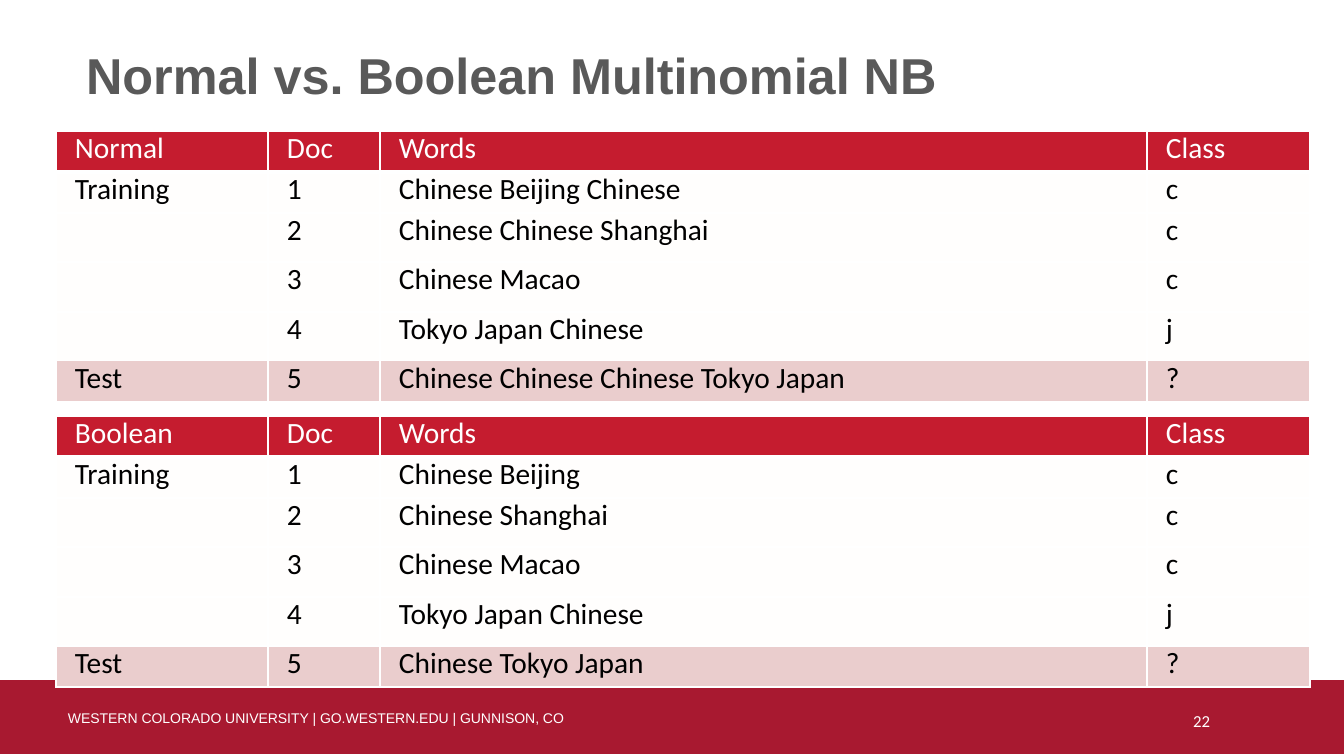
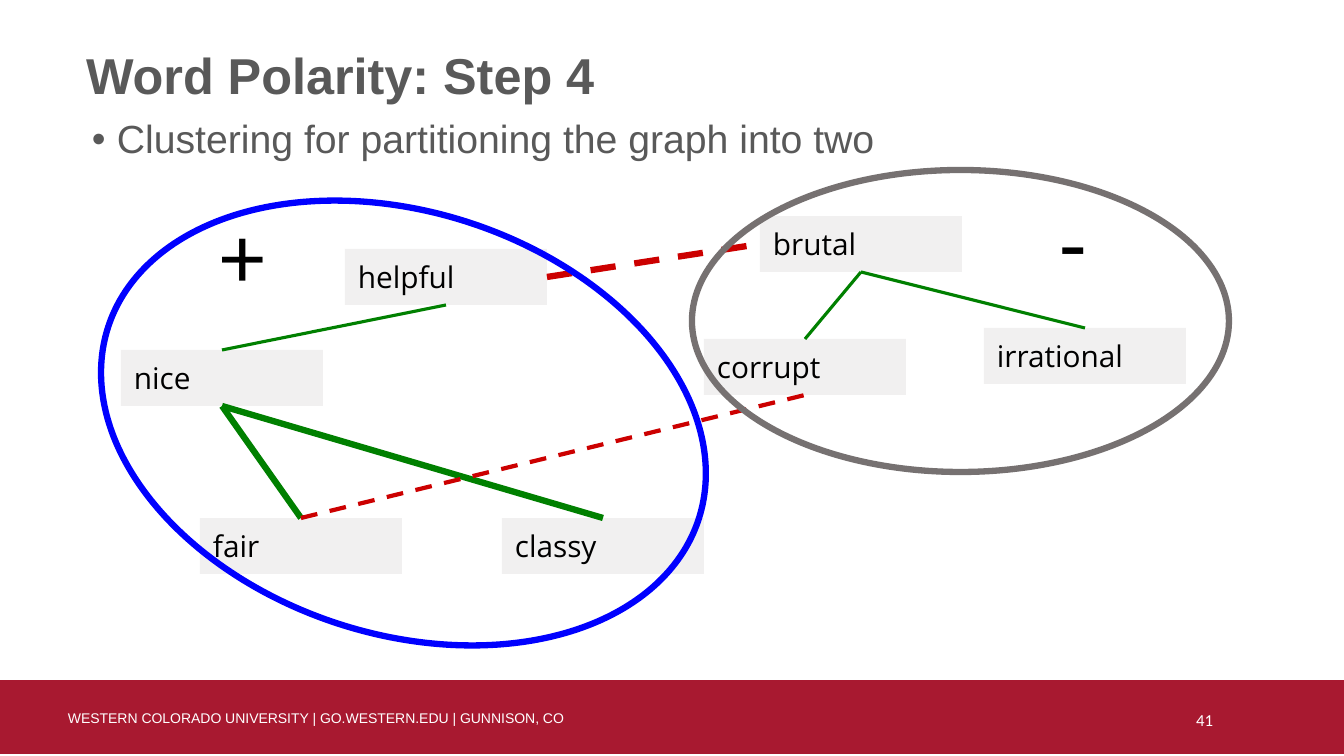
import pptx
import pptx.dml.color
import pptx.enum.dml
import pptx.enum.shapes
import pptx.enum.text
import pptx.oxml.ns
import pptx.util
from lxml import etree

PAGE_SIZE = (1344, 756)
EMU_PER_PX = 12192000 / 1344
COLORS = {
    "white": "FFFFFF", "black": "000000", "title": "595959", "band": "A81930",
    "header": "C51C2F", "plain_row": "FFFEFD", "test_row": "EACDCD",
    "node": "F1F0F0", "similar": "008000", "opposite": "CC0000",
    "positive": "0000FF", "negative": "767171",
}
FOOTER = "WESTERN COLORADO UNIVERSITY | GO.WESTERN.EDU | GUNNISON, CO"
TITLE_BOX = (76, 40, 1192, 77)
NUMBER_SIZE = (302, 40)

COLUMN_WIDTHS = (212, 112, 767, 163)
ROW_HEIGHTS = (41, 41, 49, 50, 49, 41)
TOP, BOTTOM = 0, 2
LEFT, RIGHT = 1, 3
NODE_SIZE = (202, 56)
NODES = {
    "classy": (410, 348), "nice": (29, 180), "helpful": (253, 79),
    "fair": (108, 348), "brutal": (668, 46), "irrational": (892, 158),
    "corrupt": (612, 169),
}
EDGES = [
    ("brutal", BOTTOM, "corrupt", TOP, "similar", 2.25),
    ("nice", BOTTOM, "classy", TOP, "similar", 4.5),
    ("nice", BOTTOM, "fair", TOP, "similar", 4.5),
    ("fair", TOP, "corrupt", BOTTOM, "opposite", 3),
    ("irrational", TOP, "brutal", BOTTOM, "similar", 2.25),
    ("helpful", BOTTOM, "nice", TOP, "similar", 2.25),
    ("helpful", RIGHT, "brutal", LEFT, "opposite", 4.5),
]
CLUSTERS = [
    ("positive", (1, 42, 621, 422), 18),
    ("negative", (600, 0, 537, 302), 0),
]
SIGNS = [("+", (119, 24, 66, 119)), ("-", (958, 12, 48, 119))]

ALIGN = pptx.enum.text.PP_ALIGN
ANCHOR = pptx.enum.text.MSO_ANCHOR
SHAPE = pptx.enum.shapes.MSO_SHAPE


def px(*lengths):
    return [pptx.util.Emu(round(length * EMU_PER_PX)) for length in lengths]


def rgb(name):
    return pptx.dml.color.RGBColor.from_string(COLORS[name])


def add_xml(parent, tag, **attributes):
    return etree.SubElement(parent, pptx.oxml.ns.qn(tag), attributes)


def write(frame, text, size, color, font="Arial", bold=False, align=ALIGN.LEFT,
          anchor=ANCHOR.TOP, spacing=None, wrap=True, bullet=None):
    frame.word_wrap = wrap
    frame.vertical_anchor = anchor
    para = frame.paragraphs[0]
    para.alignment = align
    para.line_spacing = spacing
    if bullet:
        properties = para._p.get_or_add_pPr()
        indent = px(25)[0]
        properties.set("marL", str(indent))
        properties.set("indent", str(-indent))
        add_xml(properties, "a:buFont", typeface="Arial")
        add_xml(properties, "a:buChar", char=bullet)
    span = para.add_run()
    span.text = text
    span.font.name = font
    span.font.size = pptx.util.Pt(size)
    span.font.bold = bold
    span.font.color.rgb = rgb(color)


def set_margins(target, horizontal, vertical):
    target.margin_left = target.margin_right = px(horizontal)[0]
    target.margin_top = target.margin_bottom = px(vertical)[0]


def add_text(page, bounds, text, **text_format):
    box = page.shapes.add_textbox(*px(*bounds))
    write(box.text_frame, text, **text_format)


def add_filled_box(page, bounds, color):
    box = page.shapes.add_shape(SHAPE.RECTANGLE, *px(*bounds))
    box.shadow.inherit = False
    box.fill.solid()
    box.fill.fore_color.rgb = rgb(color)
    box.line.fill.background()
    return box


def add_page(deck, title, number, number_at):
    """Add a page with the shared title style, footer band and page number."""
    page = deck.slides.add_slide(deck.slide_layouts.get_by_name("Title Only"))
    add_filled_box(page, (0, 680, PAGE_SIZE[0], 74), "band")
    add_text(page, (58, 705, 569, 40), FOOTER, size=10, color="white")
    heading = page.shapes.title
    heading.left, heading.top, heading.width, heading.height = px(*TITLE_BOX)
    heading.text_frame.auto_size = pptx.enum.text.MSO_AUTO_SIZE.NONE
    write(heading.text_frame, title, size=36, color="title", bold=True,
          anchor=ANCHOR.MIDDLE, spacing=0.9)
    add_text(page, (*number_at, *NUMBER_SIZE), number, size=12, color="white",
             font="Calibri", align=ALIGN.RIGHT, anchor=ANCHOR.MIDDLE)
    return page


def add_cell_borders(cell, is_header):
    properties = cell._tc.get_or_add_tcPr()
    for side in "LRTB":
        points = 3 if is_header and side == "B" else 1
        line = add_xml(properties, f"a:ln{side}", w=str(pptx.util.Pt(points)))
        add_xml(add_xml(line, "a:solidFill"), "a:srgbClr", val=COLORS["white"])


def add_document_table(page, left, top, name, training, test):
    rows = [(name, "Doc", "Words", "Class")]
    for index, (words, label) in enumerate(training, start=1):
        rows.append(("Training" if index == 1 else "", str(index), words, label))
    rows.append(("Test", str(len(rows)), test, "?"))
    fills = ["header"] + ["plain_row"] * len(training) + ["test_row"]

    bounds = (left, top, sum(COLUMN_WIDTHS), sum(ROW_HEIGHTS))
    table = page.shapes.add_table(len(rows), len(COLUMN_WIDTHS), *px(*bounds)).table
    table.horz_banding = False
    for column, width in zip(table.columns, px(*COLUMN_WIDTHS)):
        column.width = width
    for row, height, texts, fill in zip(table.rows, px(*ROW_HEIGHTS), rows, fills):
        row.height = height
        is_header = fill == "header"
        for cell, text in zip(row.cells, texts):
            set_margins(cell, 19, 7)
            add_cell_borders(cell, is_header)
            cell.fill.solid()
            cell.fill.fore_color.rgb = rgb(fill)
            if text:
                write(cell.text_frame, text, size=21, font="Calibri", spacing=0.7,
                      color="white" if is_header else "black")


def add_edge(page, start, start_side, end, end_side, color, weight):
    edge = page.shapes.add_connector(
        pptx.enum.shapes.MSO_CONNECTOR.STRAIGHT, 0, 0, 0, 0)
    edge.begin_connect(start, start_side)
    edge.end_connect(end, end_side)
    edge.line.color.rgb = rgb(color)
    edge.line.width = pptx.util.Pt(weight)
    if color == "opposite":
        edge.line.dash_style = pptx.enum.dml.MSO_LINE.DASH
    add_xml(edge.element.spPr, "a:effectLst")


def add_word_graph(page, left, top):
    def placed(x, y, width, height):
        return left + x, top + y, width, height

    nodes = {}
    for word, corner in NODES.items():
        node = add_filled_box(page, placed(*corner, *NODE_SIZE), "node")
        set_margins(node.text_frame, 13, 7)
        write(node.text_frame, word, size=21.3, color="black", font="Open Sans",
              anchor=ANCHOR.MIDDLE)
        nodes[word] = node
    for start, start_side, end, end_side, color, weight in EDGES:
        add_edge(page, nodes[start], start_side, nodes[end], end_side, color, weight)
    for color, bounds, angle in CLUSTERS:
        ring = page.shapes.add_shape(SHAPE.OVAL, *px(*placed(*bounds)))
        ring.shadow.inherit = False
        ring.rotation = angle
        ring.fill.background()
        ring.line.color.rgb = rgb(color)
        ring.line.width = pptx.util.Pt(4.5)
    for sign, bounds in SIGNS:
        add_text(page, placed(*bounds), sign, size=64, color="black",
                 font="Calibri", wrap=False)


def build_comparison_page(deck):
    page = add_page(deck, "Normal vs. Boolean Multinomial NB", "22", (918, 701))
    shared = [("Chinese Macao", "c"), ("Tokyo Japan Chinese", "j")]
    add_document_table(
        page, 56, 131, "Normal",
        [("Chinese Beijing Chinese", "c"), ("Chinese Chinese Shanghai", "c")] + shared,
        "Chinese Chinese Chinese Tokyo Japan")
    add_document_table(
        page, 56, 416, "Boolean",
        [("Chinese Beijing", "c"), ("Chinese Shanghai", "c")] + shared,
        "Chinese Tokyo Japan")


def build_polarity_page(deck):
    page = add_page(deck, "Word Polarity: Step 4", "41", (921, 700))
    add_text(page, (82, 115, 1192, 50),
             "Clustering for partitioning the graph into two",
             size=28, color="title", spacing=0.9, bullet="•")
    add_word_graph(page, 92, 170)


def main():
    deck = pptx.Presentation()
    deck.slide_width, deck.slide_height = px(*PAGE_SIZE)
    build_comparison_page(deck)
    build_polarity_page(deck)
    deck.save("out.pptx")


if __name__ == "__main__":
    main()
